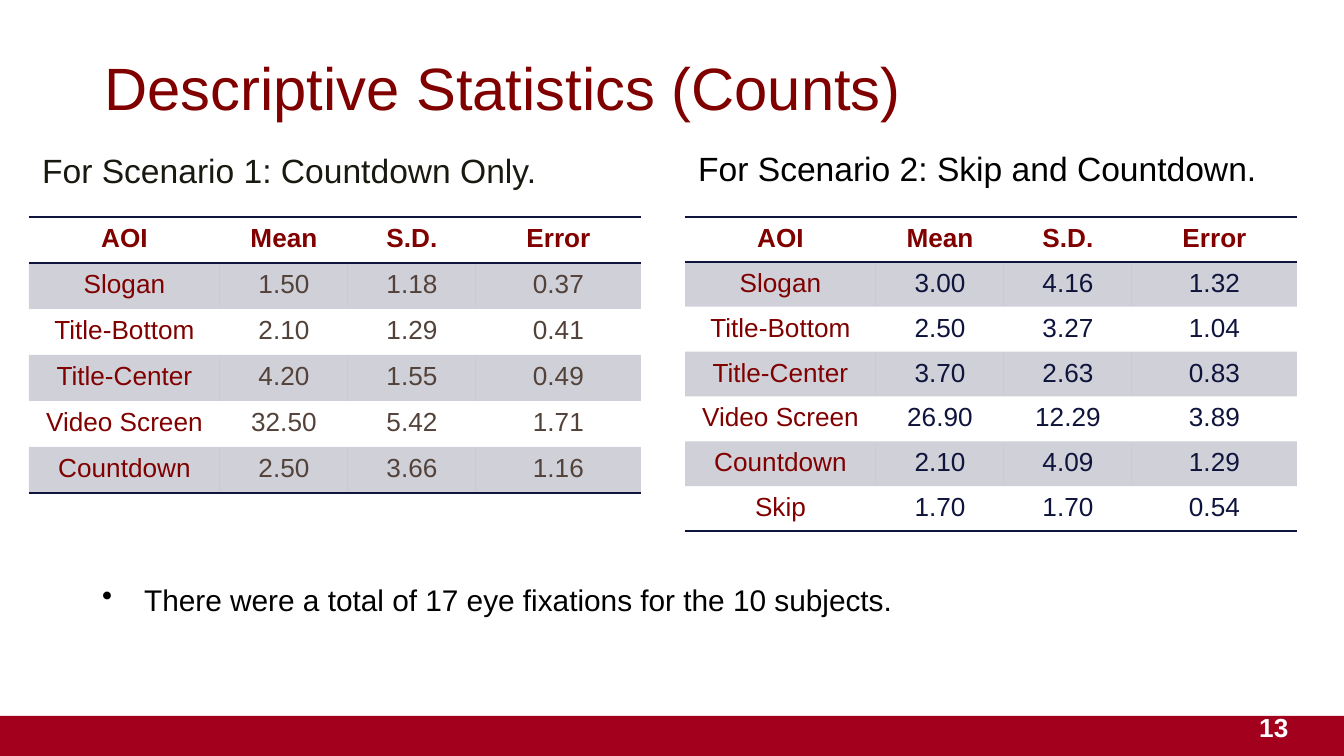
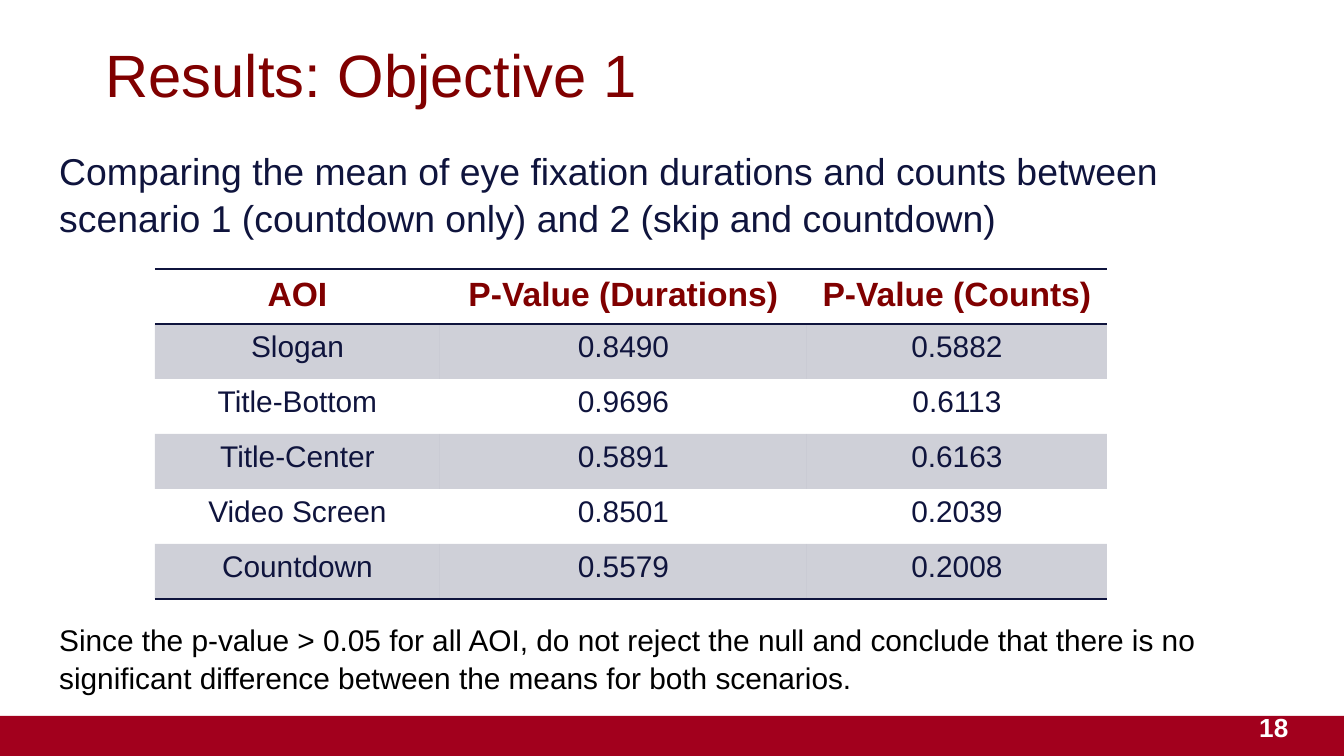
from lxml import etree
from pptx import Presentation
from pptx.dml.color import RGBColor
from pptx.enum import shapes, text
from pptx.oxml import ns
from pptx.util import Pt

PX = 914400 / 134.4
WIDTH, HEIGHT = 1344, 756
BAND_TOP = 716
FONT = "Arial"
NO_TABLE_STYLE = "{2D5ABB26-0587-4C30-8999-92F81FD0307C}"

RED = RGBColor(0xA2, 0x00, 0x1D)
MAROON = RGBColor(0x80, 0x00, 0x00)
NAVY = RGBColor(0x0F, 0x14, 0x3D)
BROWN = RGBColor(0x53, 0x42, 0x39)
DARK = RGBColor(0x1A, 0x19, 0x11)
BLACK = RGBColor(0x00, 0x00, 0x00)
WHITE = RGBColor(0xFF, 0xFF, 0xFF)

COUNT_COLUMNS = (191, 128, 128, 165)
COUNT_HEADER = ("AOI", "Mean", "S.D.", "Error")

# Positions are (left, top, width, height) in px.
PAGES = [
    {
        "title": "Descriptive Statistics (Counts)",
        "title_at": (91, 26, 1253, 122),
        "number": "13",
        "texts": [
            {"at": (29, 143, 656, 54), "size": 18, "color": DARK,
             "words": "For Scenario 1: Countdown Only."},
            {"at": (685, 141, 782, 54), "size": 18, "color": BLACK,
             "words": "For Scenario 2: Skip and Countdown."},
            {"at": (89, 575, 1210, 46), "size": 16, "color": BLACK, "bullet": True,
             "words": "There were a total of 17 eye fixations for the 10 subjects."},
        ],
        "tables": [
            {"at": (29, 217), "columns": COUNT_COLUMNS, "row_height": 46,
             "sizes": (14, 14), "label_color": MAROON, "value_color": BROWN,
             "rows": [
                 COUNT_HEADER,
                 ("Slogan", "1.50", "1.18", "0.37"),
                 ("Title-Bottom", "2.10", "1.29", "0.41"),
                 ("Title-Center", "4.20", "1.55", "0.49"),
                 ("Video Screen", "32.50", "5.42", "1.71"),
                 ("Countdown", "2.50", "3.66", "1.16"),
             ]},
            {"at": (685, 217), "columns": COUNT_COLUMNS, "row_height": 43,
             "sizes": (14, 14), "label_color": MAROON, "value_color": NAVY,
             "rows": [
                 COUNT_HEADER,
                 ("Slogan", "3.00", "4.16", "1.32"),
                 ("Title-Bottom", "2.50", "3.27", "1.04"),
                 ("Title-Center", "3.70", "2.63", "0.83"),
                 ("Video Screen", "26.90", "12.29", "3.89"),
                 ("Countdown", "2.10", "4.09", "1.29"),
                 ("Skip", "1.70", "1.70", "0.54"),
             ]},
        ],
    },
    {
        "title": "Results: Objective 1",
        "title_at": (92, 13, 1253, 122),
        "number": "18",
        "texts": [
            {"at": (46, 133, 1253, 118), "size": 20, "color": NAVY,
             "inset": 13, "spacing": 1.05,
             "words": "Comparing the mean of eye fixation durations and counts "
                      "between scenario 1 (countdown only) and 2 (skip and countdown)"},
            {"at": (46, 613, 1165, 86), "size": 16, "color": BLACK, "spacing": 1.05,
             "words": "Since the p-value > 0.05 for all AOI, do not reject the null "
                      "and conclude that there is no significant difference between "
                      "the means for both scenarios."},
        ],
        "tables": [
            {"at": (155, 269), "columns": (285, 367, 300), "row_height": 55,
             "sizes": (18, 16), "label_color": NAVY, "value_color": NAVY,
             "rows": [
                 ("AOI", "P-Value (Durations)", "P-Value (Counts)"),
                 ("Slogan", "0.8490", "0.5882"),
                 ("Title-Bottom", "0.9696", "0.6113"),
                 ("Title-Center", "0.5891", "0.6163"),
                 ("Video Screen", "0.8501", "0.2039"),
                 ("Countdown", "0.5579", "0.2008"),
             ]},
        ],
    },
]


def px(length):
    return round(length * PX)


def place(shape, at):
    shape.left, shape.top, shape.width, shape.height = map(px, at)


def write(frame, words, size, color, bold=False, align=text.PP_ALIGN.LEFT):
    """Fill a text frame with one formatted paragraph and return it."""
    frame.text = words
    para = frame.paragraphs[0]
    para.alignment = align
    for span in para.runs:
        span.font.name = FONT
        span.font.size = Pt(size)
        span.font.bold = bold
        span.font.color.rgb = color
    return para


def set_insets(frame, vertical):
    frame.margin_left = frame.margin_right = px(13.44)
    frame.margin_top = frame.margin_bottom = px(vertical)


def add_bullet(para, indent):
    props = para._p.get_or_add_pPr()
    props.set("marL", str(px(indent)))
    props.set("indent", str(-px(indent)))
    etree.SubElement(props, ns.qn("a:buChar")).set("char", "•")


def add_text(page, at, words, size, color, bold=False, inset=7, spacing=None,
             bullet=False, anchor=text.MSO_ANCHOR.TOP):
    box = page.shapes.add_textbox(*map(px, at))
    frame = box.text_frame
    frame.word_wrap = True
    frame.vertical_anchor = anchor
    set_insets(frame, inset)
    para = write(frame, words, size, color, bold)
    if spacing:
        para.line_spacing = spacing
    if bullet:
        add_bullet(para, 42)


def add_title(page, words, at):
    title = page.shapes.title
    place(title, at)
    frame = title.text_frame
    frame.auto_size = text.MSO_AUTO_SIZE.NONE
    frame.vertical_anchor = text.MSO_ANCHOR.MIDDLE
    set_insets(frame, 13)
    write(frame, words, 32, MAROON)


def tint(cell):
    """Fill a cell with navy at 20 % opacity."""
    cell.fill.solid()
    cell.fill.fore_color.rgb = NAVY
    color = cell._tc.tcPr.find(".//" + ns.qn("a:srgbClr"))
    etree.SubElement(color, ns.qn("a:alpha")).set("val", "20000")


def rule(cell, sides):
    """Draw 1 pt navy borders on the named sides, ahead of the fill."""
    props = cell._tc.get_or_add_tcPr()
    for place_in_order, side in enumerate(sides):
        line = etree.Element(ns.qn("a:ln" + side), w=str(Pt(1)))
        fill = etree.SubElement(line, ns.qn("a:solidFill"))
        etree.SubElement(fill, ns.qn("a:srgbClr")).set("val", str(NAVY))
        props.insert(place_in_order, line)


def add_data_table(page, at, columns, row_height, sizes, label_color, value_color, rows):
    frame = page.shapes.add_table(
        len(rows), len(columns), px(at[0]), px(at[1]),
        px(sum(columns)), px(row_height * len(rows)))
    table = frame.table
    table._tbl.tblPr.find(ns.qn("a:tableStyleId")).text = NO_TABLE_STYLE
    for column, width in zip(table.columns, columns):
        column.width = px(width)
    for r, row in enumerate(rows):
        table.rows[r].height = px(row_height)
        header = r == 0
        for c, words in enumerate(row):
            cell = table.cell(r, c)
            color = MAROON if header else value_color if c else label_color
            write(cell.text_frame, words, sizes[0 if header else 1], color,
                  header, text.PP_ALIGN.CENTER)
            if r % 2:
                tint(cell)
            else:
                cell.fill.background()
            if header:
                rule(cell, "TB")
            elif r == len(rows) - 1:
                rule(cell, "B")


def add_layout_band(page):
    """Build the bottom band and move it to the layout the slides share."""
    band = page.shapes.add_shape(
        shapes.MSO_SHAPE.RECTANGLE, 0, px(BAND_TOP), px(WIDTH), px(HEIGHT - BAND_TOP))
    band.shadow.inherit = False
    band.fill.solid()
    band.fill.fore_color.rgb = RED
    band.line.fill.background()
    page.slide_layout.shapes.element.append(band.element)


def main():
    deck = Presentation()
    deck.slide_width, deck.slide_height = px(WIDTH), px(HEIGHT)
    layout = deck.slide_layouts.get_by_name("Title Only")
    for index, content in enumerate(PAGES):
        page = deck.slides.add_slide(layout)
        if index == 0:
            add_layout_band(page)
        add_title(page, content["title"], content["title_at"])
        add_text(page, (1246, 698, 81, 58), content["number"], 14, WHITE,
                 bold=True, anchor=text.MSO_ANCHOR.MIDDLE)
        for item in content["texts"]:
            add_text(page, **item)
        for item in content["tables"]:
            add_data_table(page, **item)
    deck.save("out.pptx")


if __name__ == "__main__":
    main()
